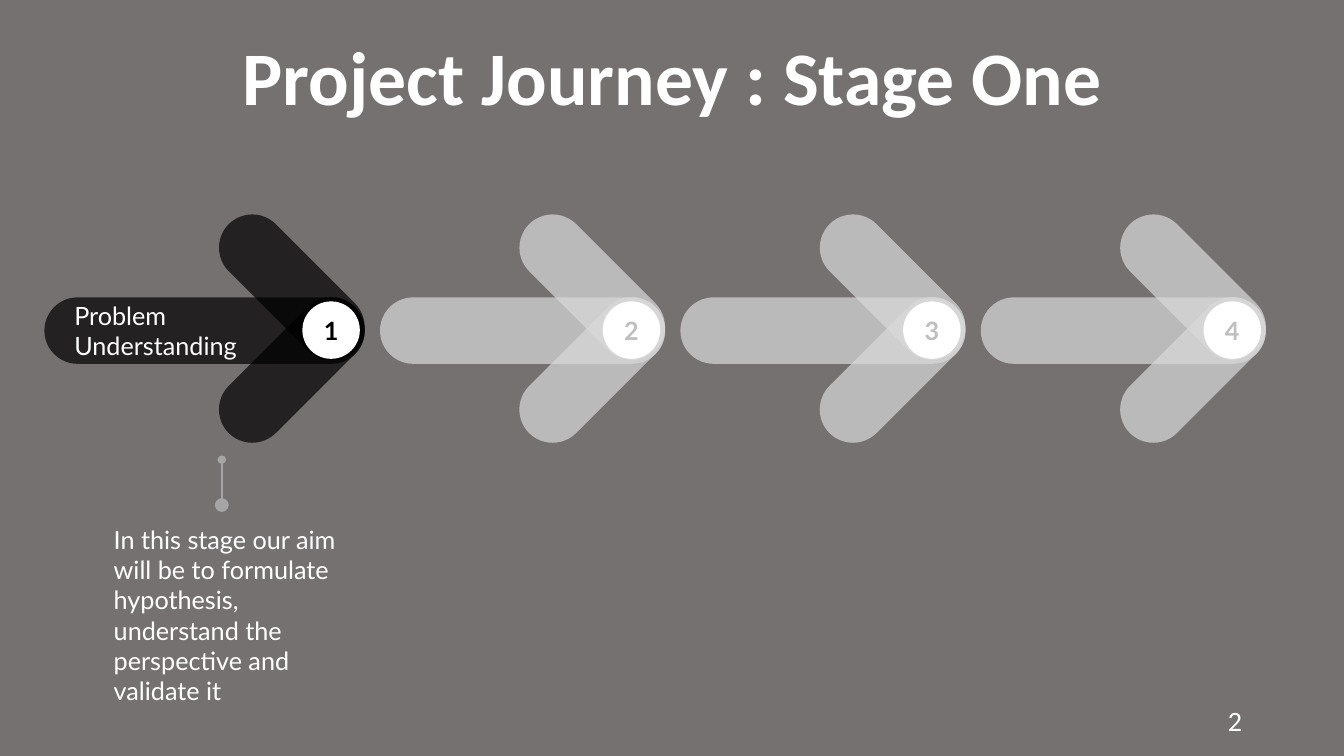
from lxml import etree
from pptx import Presentation
from pptx.dml.color import RGBColor
from pptx.enum.shapes import MSO_CONNECTOR, MSO_SHAPE
from pptx.enum.text import MSO_ANCHOR, PP_ALIGN
from pptx.oxml.ns import qn
from pptx.util import Inches, Pt

PILL, CIRCLE = MSO_SHAPE.ROUNDED_RECTANGLE, MSO_SHAPE.OVAL
STRAIGHT = MSO_CONNECTOR.STRAIGHT
TOP, MIDDLE = MSO_ANCHOR.TOP, MSO_ANCHOR.MIDDLE
LEFT, CENTER, RIGHT = PP_ALIGN.LEFT, PP_ALIGN.CENTER, PP_ALIGN.RIGHT

# Square grid: ten columns and ten rows to the inch
CELL = 0.1
COLUMNS, ROWS = 133.33, 75
WHITE, BLACK, PALE, MUTED = "FFFFFF", "000000", "D9D9D9", "BFBFBF"
BACKGROUND, CALLOUT = "767171", "A5A5A5"

# Arrow geometry, in grid cells
FIRST_TIP, TIP_PITCH = 36.2, 29.8
SHAFT_TOP, THICKNESS = 29.5, 6.6
ARM_LENGTH, ARM_BACK = 17.7, 16.1
ARMS = ((33.4, 315), (25.2, 45))
BADGE_TOP, BADGE_SIZE, BADGE_BACK = 29.9, 5.7, 6.2
INSETS = (1, 0.5, 1, 0.5)


def grid(cells):
    return Inches(cells * CELL)


def color(hex_code):
    return RGBColor.from_string(hex_code)


def write(shape, lines, size, font, hex_code, bold=False, align=LEFT,
          anchor=TOP, spacing=1.0, insets=INSETS):
    frame = shape.text_frame
    frame.word_wrap = True
    frame.vertical_anchor = anchor
    (frame.margin_left, frame.margin_top,
     frame.margin_right, frame.margin_bottom) = map(grid, insets)
    for index, line in enumerate(lines):
        para = frame.add_paragraph() if index else frame.paragraphs[0]
        para.alignment = align
        para.line_spacing = spacing
        span = para.add_run()
        span.text = line
        span.font.size = Pt(size)
        span.font.name = font
        span.font.bold = bold
        span.font.color.rgb = color(hex_code)


def add_text(page, place, lines, *style, **layout):
    box = page.shapes.add_textbox(*map(grid, place))
    write(box, lines, *style, **layout)


def add_solid(parent, kind, place, hex_code, opacity=100):
    shape = parent.shapes.add_shape(kind, *map(grid, place))
    shape.shadow.inherit = False
    shape.line.fill.background()
    shape.fill.solid()
    shape.fill.fore_color.rgb = color(hex_code)
    if opacity < 100:
        tint = shape.fill._xPr.find(".//" + qn("a:srgbClr"))
        etree.SubElement(tint, qn("a:alpha"), val=str(opacity * 1000))
    return shape


def add_pill(parent, place, hex_code, rotation=0):
    pill = add_solid(parent, PILL, place, hex_code, opacity=70)
    pill.adjustments[0] = 0.5
    pill.rotation = rotation
    return pill


def add_arrow(page, number, tip, shaft_length, fill, number_color, label=()):
    arrow = page.shapes.add_group_shape()
    shaft = add_pill(
        arrow, (tip - shaft_length, SHAFT_TOP, shaft_length, THICKNESS), fill)
    if label:
        write(shaft, label, 18, "Lato", WHITE, anchor=MIDDLE,
              insets=(2, 0, 0, 0))
    for top, rotation in ARMS:
        add_pill(arrow, (tip - ARM_BACK, top, ARM_LENGTH, THICKNESS),
                 fill, rotation)
    badge = add_solid(
        arrow, CIRCLE, (tip - BADGE_BACK, BADGE_TOP, BADGE_SIZE, BADGE_SIZE),
        WHITE)
    write(badge, [str(number)], 18, "Lato", number_color, bold=True,
          align=CENTER, anchor=MIDDLE)


def add_callout_line(page, column, top, bottom):
    line = page.shapes.add_connector(
        STRAIGHT, *map(grid, (column, top, column, bottom)))
    line.line.color.rgb = color(CALLOUT)
    line.line.width = Pt(1.5)
    stroke = line.line._get_or_add_ln()
    for end, size in (("a:headEnd", "med"), ("a:tailEnd", "lg")):
        etree.SubElement(stroke, qn(end), type="oval", w=size, len=size)
    etree.SubElement(line._element.spPr, qn("a:effectLst"))


def main():
    deck = Presentation()
    deck.slide_width, deck.slide_height = grid(COLUMNS), grid(ROWS)
    page = deck.slides.add_slide(deck.slide_layouts[6])
    page.background.fill.solid()
    page.background.fill.fore_color.rgb = color(BACKGROUND)

    # Title
    add_text(page, (7.8, 4.1, 117.8, 7.8), ["Project Journey : Stage One"],
             54, "Calibri", WHITE, bold=True, align=CENTER, anchor=MIDDLE,
             spacing=0.9)

    # Current stage, then the stages still to come
    add_arrow(page, 1, FIRST_TIP, 31.8, BLACK, BLACK,
              ["Problem", "Understanding"])
    for number in (2, 3, 4):
        add_arrow(page, number, FIRST_TIP + (number - 1) * TIP_PITCH, 28.3,
                  PALE, MUTED)

    # Explanation of the current stage
    add_text(page, (10.3, 51.5, 25.1, 19.2),
             ["In this stage our aim will be to formulate hypothesis, "
              "understand the perspective and validate it"],
             18, "Lato", WHITE)
    add_callout_line(page, 22, 45.6, 50.1)

    # Page number
    add_text(page, (94.2, 69.5, 30, 4), ["2"], 20, "Calibri", WHITE,
             align=RIGHT, anchor=MIDDLE)

    deck.save("out.pptx")


if __name__ == "__main__":
    main()
